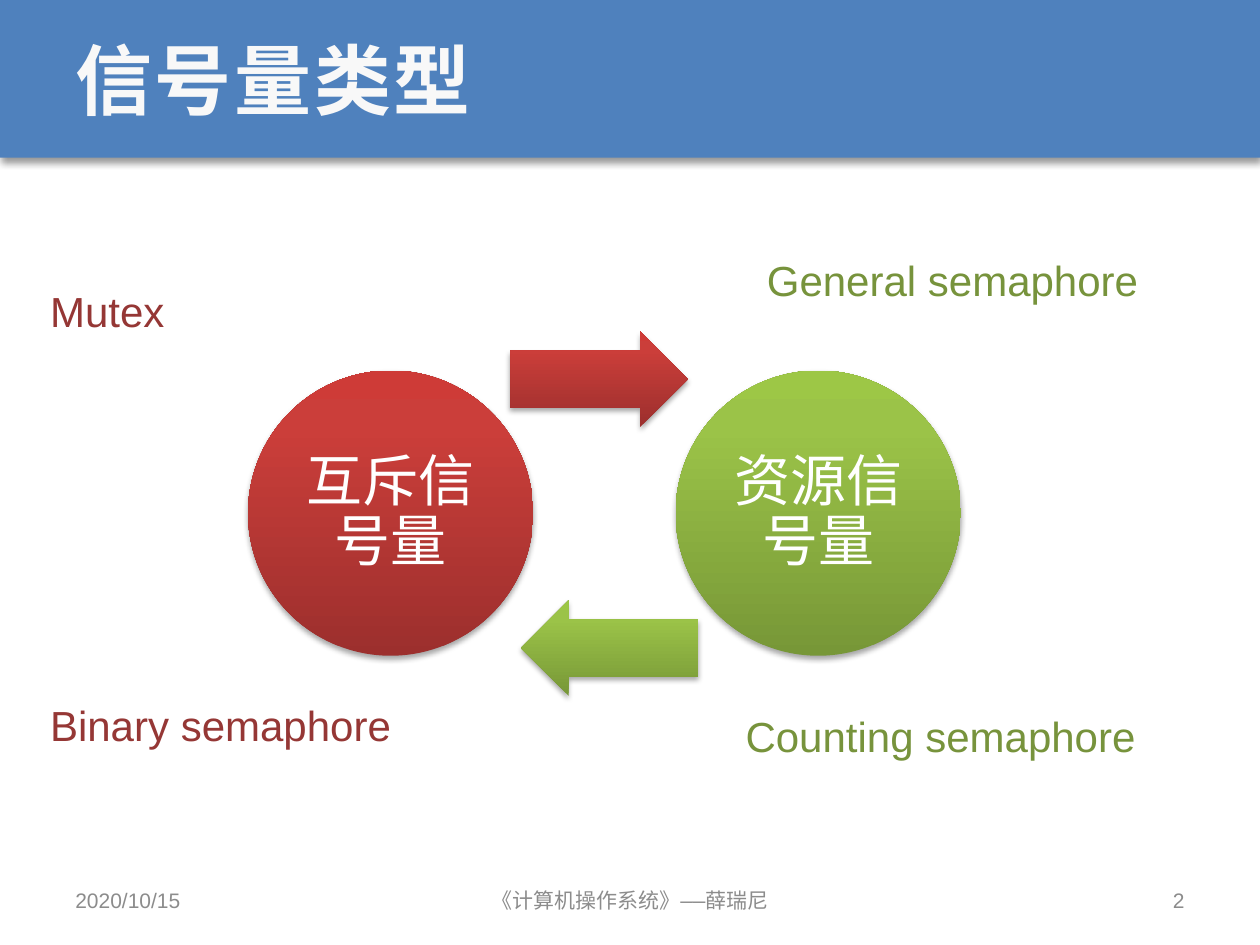
from dataclasses import dataclass

from lxml.etree import SubElement
from pptx import Presentation
from pptx.dml.color import RGBColor
from pptx.enum.shapes import MSO_SHAPE
from pptx.enum.text import MSO_ANCHOR, MSO_AUTO_SIZE, PP_ALIGN
from pptx.oxml import parse_xml
from pptx.oxml.ns import nsdecls, qn
from pptx.util import Cm, Pt


@dataclass(frozen=True)
class Theme:
    banner: str = "4F81BD"
    title: str = "F8F8F8"
    on_circle: str = "FFFFFF"
    footer: str = "8C8C8C"
    mutex_label: str = "953735"
    resource_label: str = "77933C"
    mutex_stops: tuple = ((0, "9C2F2D"), (80, "CB3E3A"), (100, "CE3B37"))
    resource_stops: tuple = ((0, "779737"), (80, "9BC348"), (100, "9DC746"))
    # opacity in percent, blur and distance in points
    banner_shadow: tuple = (40, 4, 3)
    diagram_shadow: tuple = (35, 3.1, 1.8)
    title_size: int = 44
    circle_size: int = 32
    label_size: int = 24
    footer_size: int = 12
    latin: str = "Arial"
    mono: str = "DejaVu Sans Mono"


THEME = Theme()


def add_shadow(shape, shadow):
    """Cast a black shadow straight down."""
    opacity, blur, distance = shadow
    shape.shadow.inherit = False
    effects = shape._element.spPr.find(qn("a:effectLst"))
    outer = SubElement(effects, qn("a:outerShdw"), blurRad=str(Pt(blur)),
                       dist=str(Pt(distance)), dir="5400000", rotWithShape="0")
    black = SubElement(outer, qn("a:srgbClr"), val="000000")
    SubElement(black, qn("a:alpha"), val=str(opacity * 1000))


def fill_gradient(shape, stops):
    """Blend the stops from bottom to top, whatever the shape's rotation."""
    stop_xml = "".join(
        f'<a:gs pos="{percent * 1000}"><a:srgbClr val="{color}"/></a:gs>'
        for percent, color in stops)
    gradient = parse_xml(
        f'<a:gradFill {nsdecls("a")} rotWithShape="0"><a:gsLst>{stop_xml}</a:gsLst>'
        '<a:lin ang="16200000" scaled="0"/></a:gradFill>')
    shape._element.spPr.find(qn("a:prstGeom")).addnext(gradient)


def add_text(slide, text, box, size, color, font=THEME.latin, align=PP_ALIGN.LEFT,
             anchor=MSO_ANCHOR.MIDDLE, wrap=True):
    text_box = slide.shapes.add_textbox(*map(Cm, box))
    frame = text_box.text_frame
    frame.word_wrap = wrap
    frame.vertical_anchor = anchor
    frame.text = text
    paragraph = frame.paragraphs[0]
    paragraph.alignment = align
    run = paragraph.runs[0]
    run.font.size = Pt(size)
    run.font.color.rgb = RGBColor.from_string(color)
    run.font.name = font
    SubElement(run._r.get_or_add_rPr(), qn("a:ea"), typeface=font)
    return frame


def add_banner(slide, title):
    banner = slide.shapes.add_shape(MSO_SHAPE.RECTANGLE, 0, 0, Cm(25.4), Cm(3.18))
    banner.fill.solid()
    banner.fill.fore_color.rgb = RGBColor.from_string(THEME.banner)
    banner.line.fill.background()
    add_shadow(banner, THEME.banner_shadow)
    frame = add_text(slide, title, (1.27, 0, 22.86, 3.18), THEME.title_size,
                     THEME.title, THEME.mono)
    run = frame.paragraphs[0].runs[0]
    run.font.bold = True
    run._r.get_or_add_rPr().set("spc", "150")


def add_diagram_shape(slide, kind, box, stops):
    shape = slide.shapes.add_shape(kind, *map(Cm, box))
    fill_gradient(shape, stops)
    shape.line.fill.background()
    add_shadow(shape, THEME.diagram_shadow)
    return shape


def add_circle(slide, text, left, stops):
    top, diameter, text_side = 7.47, 5.75, 4.06
    add_diagram_shape(slide, MSO_SHAPE.OVAL, (left, top, diameter, diameter), stops)
    inset = (diameter - text_side) / 2
    frame = add_text(slide, text, (left + inset, top + inset, text_side, text_side),
                     THEME.circle_size, THEME.on_circle, align=PP_ALIGN.CENTER)
    frame.margin_left = frame.margin_right = Cm(0.1)
    frame.margin_top = frame.margin_bottom = Cm(0.1)
    frame.paragraphs[0].line_spacing = 0.9


def add_arrow(slide, left, top, stops, rotation=0):
    arrow = add_diagram_shape(slide, MSO_SHAPE.RIGHT_ARROW, (left, top, 3.58, 1.93), stops)
    arrow.adjustments[0] = 0.6
    arrow.adjustments[1] = 0.5
    arrow.rotation = rotation


def add_label(slide, text, left, top, width, color):
    frame = add_text(slide, text, (left, top, width, 1.27), THEME.label_size, color,
                     anchor=MSO_ANCHOR.TOP, wrap=False)
    frame.auto_size = MSO_AUTO_SIZE.SHAPE_TO_FIT_TEXT


def add_footer(slide):
    for text, left, width, align, font in (
        ("2020/10/15", 1.27, 5.93, PP_ALIGN.LEFT, THEME.latin),
        ("《计算机操作系统》——薛瑞尼", 7.2, 11, PP_ALIGN.CENTER, THEME.mono),
        ("2", 18.2, 5.93, PP_ALIGN.RIGHT, THEME.latin),
    ):
        add_text(slide, text, (left, 17.65, width, 1.01), THEME.footer_size,
                 THEME.footer, font, align)


def main():
    deck = Presentation()
    deck.slide_width, deck.slide_height = Cm(25.4), Cm(19.05)
    slide = deck.slides.add_slide(deck.slide_layouts[6])

    add_banner(slide, "信号量类型")
    add_circle(slide, "互斥信号量", 5, THEME.mutex_stops)
    add_arrow(slide, 10.29, 6.68, THEME.mutex_stops)
    add_circle(slide, "资源信号量", 13.62, THEME.resource_stops)
    add_arrow(slide, 10.5, 12.1, THEME.resource_stops, rotation=180)
    add_footer(slide)
    add_label(slide, "Counting semaphore", 14.78, 14.2, 8.46, THEME.resource_label)
    add_label(slide, "Mutex", 0.76, 5.64, 2.84, THEME.mutex_label)
    add_label(slide, "Binary semaphore", 0.76, 13.97, 7.44, THEME.mutex_label)
    add_label(slide, "General semaphore", 15.21, 5, 8.08, THEME.resource_label)

    deck.save("out.pptx")


if __name__ == "__main__":
    main()
